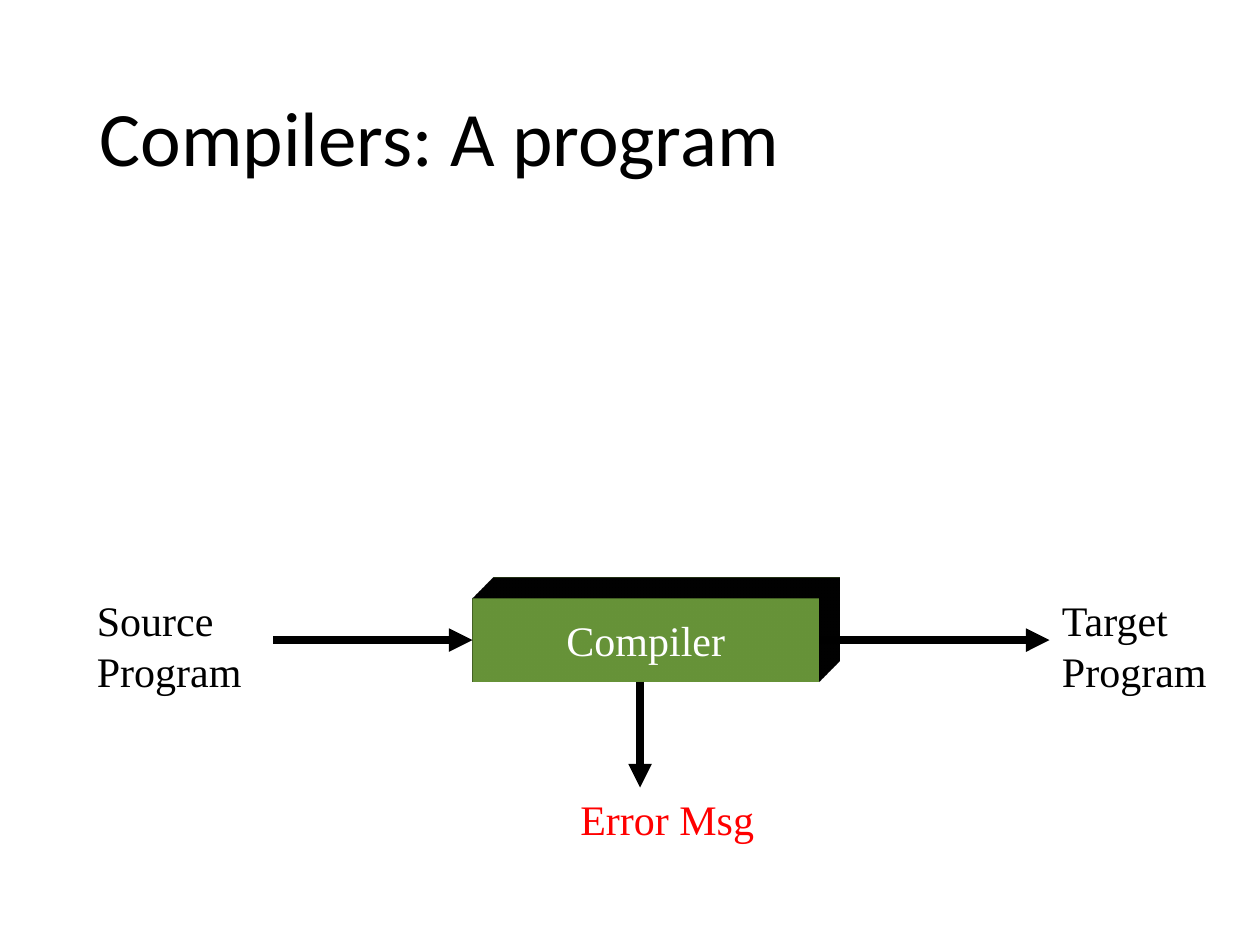
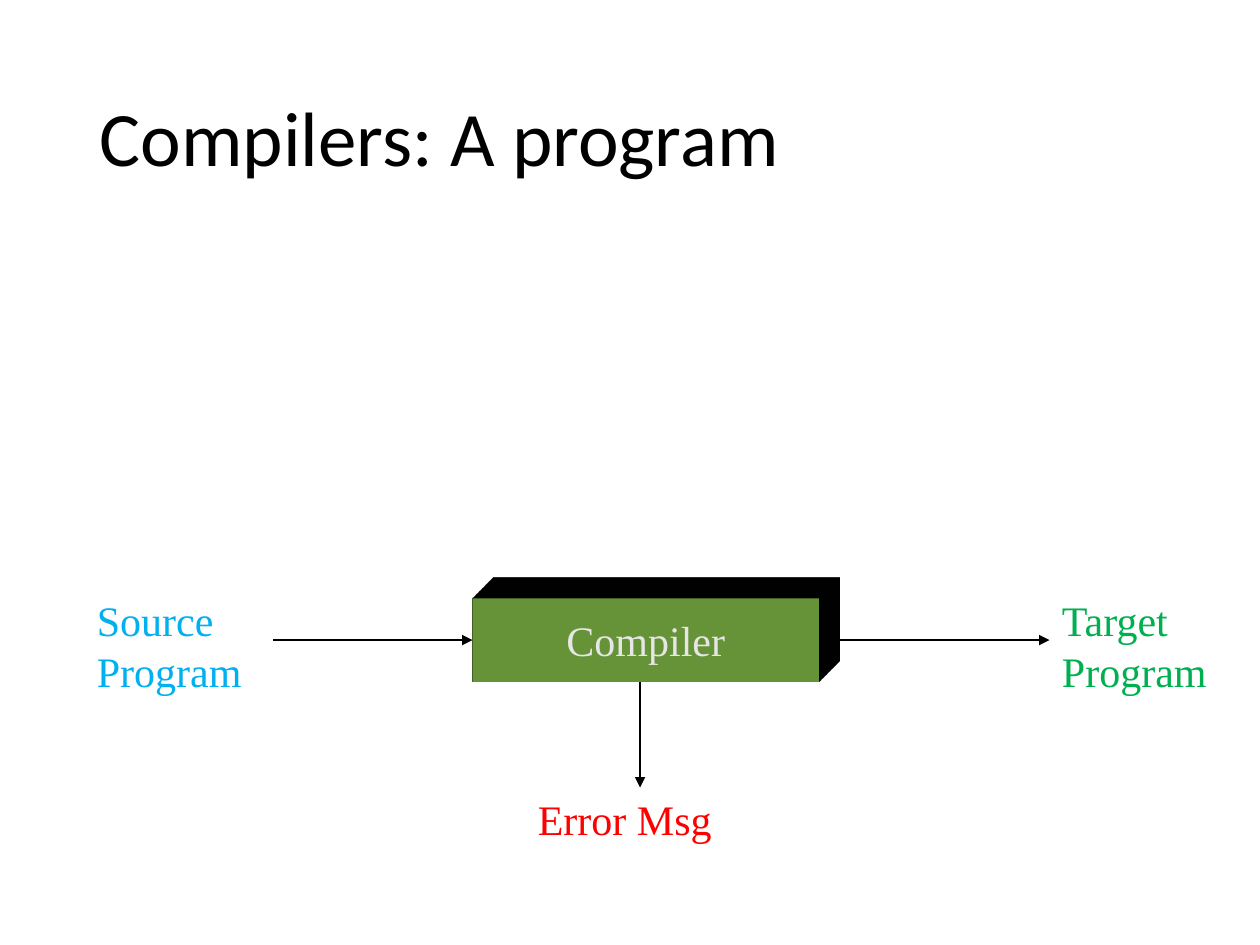
"""Build two slides that show a compiler with its input and outputs."""
from lxml import etree
from pptx import Presentation
from pptx import util as u
from pptx.dml.color import RGBColor
from pptx.enum import shapes, text
from pptx.oxml import parse_xml
from pptx.oxml.ns import nsdecls, qn

BLACK, GREEN, RED = "000000", "92D050", "FF0000"
MID, LEFT = text.PP_ALIGN.CENTER, text.PP_ALIGN.LEFT
SCENE = (
    f'<a:scene3d {nsdecls("a")}><a:camera prst="legacyObliqueTopRight"/>'
    '<a:lightRig rig="legacyFlat3" dir="b"/></a:scene3d>')
DEPTH = (
    f'<a:sp3d {nsdecls("a")} extrusionH="430200" prstMaterial="legacyMatte">'
    '<a:bevelT w="13500" h="13500" prst="angle"/>'
    '<a:bevelB w="13500" h="13500" prst="angle"/>'
    f'<a:extrusionClr><a:srgbClr val="{BLACK}"/></a:extrusionClr></a:sp3d>')


def tint(color, code):
    color.rgb = RGBColor.from_string(code)


def write(frame, words, code, align, face="Times New Roman", size=24):
    frame.text = words
    para = frame.paragraphs[0]
    para.alignment = align
    para.font.name, para.font.size = face, u.Pt(size)
    tint(para.font.color, code)
    return para


deck = Presentation()
deck.slide_width, deck.slide_height = u.Inches(10), u.Inches(7.5)

looks = [
    dict(source=BLACK, target=BLACK, label="FFFFFF", width=4.5, edge=True, error=MID),
    dict(source="00B0F0", target="00B050", label="E7E6E6", width=0.75, edge=False, error=LEFT),
]
for look in looks:
    slide = deck.slides.add_slide(deck.slide_layouts[5])
    title = slide.shapes.title
    title.left, title.top = u.Inches(0.69), u.Inches(0.4)
    title.width, title.height = u.Inches(8.62), u.Inches(1.45)
    title.text_frame.vertical_anchor = text.MSO_ANCHOR.MIDDLE
    head = write(title.text_frame, "Compilers: A program", BLACK, LEFT, "Calibri", 44)
    head.line_spacing = 0.9

    box = slide.shapes.add_shape(
        shapes.MSO_SHAPE.RECTANGLE, *map(u.Inches, (3.75, 4.75, 2.75, 0.66)))
    box.shadow.inherit = False
    box.fill.solid()
    tint(box.fill.fore_color, GREEN)
    if look["edge"]:
        tint(box.line.color, GREEN)
        box.line.width = u.Pt(0.75)
    else:
        box.line.fill.background()
    for part in (SCENE, DEPTH):
        box.element.spPr.append(parse_xml(part))
    box.text_frame.word_wrap = False
    box.text_frame.vertical_anchor = text.MSO_ANCHOR.MIDDLE
    write(box.text_frame, "Compiler", look["label"], MID)

    arrows = [
        ((2.17, 5.08, 3.75, 5.08), None, 1),
        ((6.5, 5.08, 8.33, 5.08), 3, None),
        ((5.08, 5.41, 5.08, 6.25), None, None),
    ]
    for ends, start, stop in arrows:
        arrow = slide.shapes.add_connector(
            shapes.MSO_CONNECTOR.STRAIGHT, *map(u.Inches, ends))
        if start is not None:
            arrow.begin_connect(box, start)
        if stop is not None:
            arrow.end_connect(box, stop)
        tint(arrow.line.color, BLACK)
        arrow.line.width = u.Pt(look["width"])
        props = arrow.element.spPr
        etree.SubElement(props.find(qn("a:ln")), qn("a:tailEnd"), type="triangle")
        etree.SubElement(props, qn("a:effectLst"))

    notes = [
        ("Source Program", (0.67, 4.67, 1.58, 0.91), look["source"], LEFT),
        ("Target Program", (8.33, 4.67, 1.42, 0.91), look["target"], LEFT),
        ("Error Msg", (4.17, 6.25, 2.25, 0.5), RED, look["error"]),
    ]
    for words, place, code, align in notes:
        frame = slide.shapes.add_textbox(*map(u.Inches, place)).text_frame
        frame.word_wrap = True
        frame.auto_size = text.MSO_AUTO_SIZE.SHAPE_TO_FIT_TEXT
        write(frame, words, code, align)

deck.save("out.pptx")
